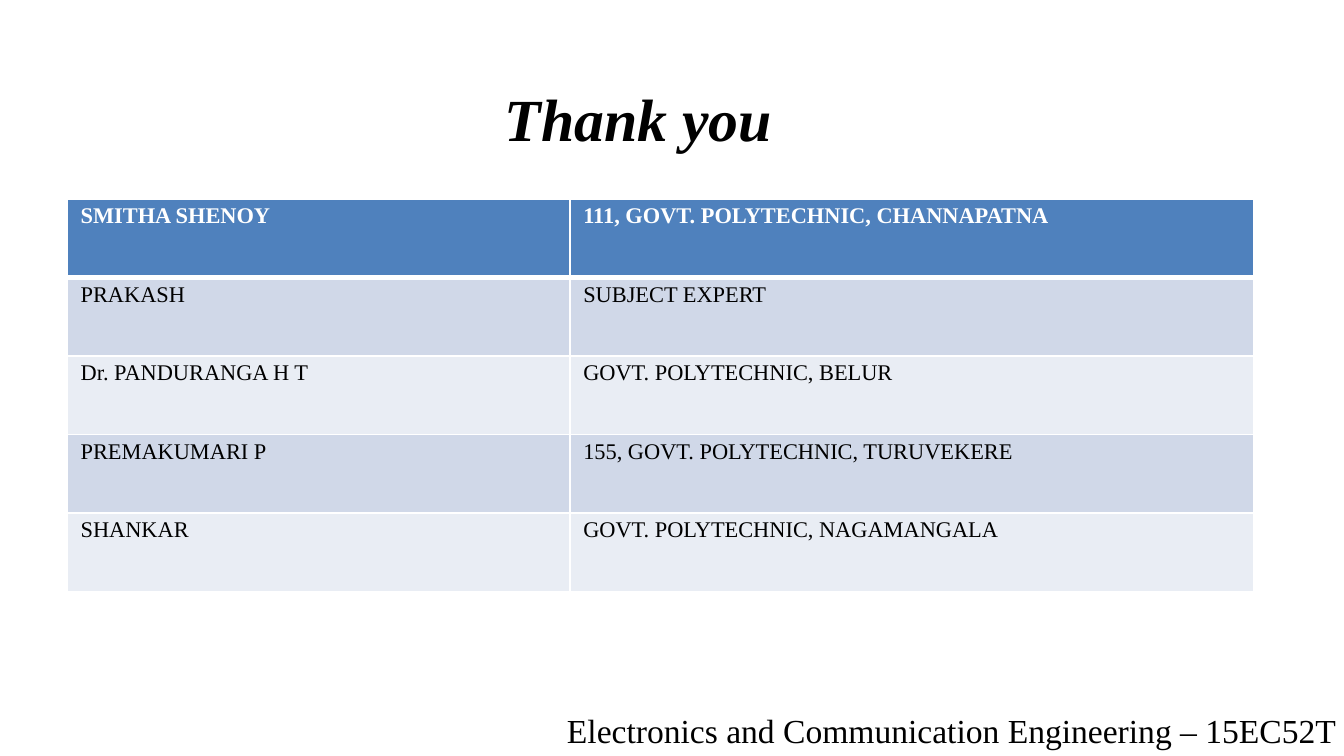
from lxml import etree
from pptx import Presentation, util as u
from pptx.dml.color import RGBColor
from pptx.enum import text
from pptx.oxml.ns import qn

PX = 4572  # EMU per px, 200 px to the inch


def px(n):
    return u.Emu(n * PX)


def rgb(value):
    return RGBColor.from_string(value)


def write(tf, content, size=12, color="000000", bold=False, italic=False,
          align=text.PP_ALIGN.LEFT, font="Times New Roman"):
    p = tf.paragraphs[0]
    p.alignment = align
    r = p.add_run()
    r.text = content
    f = r.font
    f.name, f.size, f.bold, f.italic = font, u.Pt(size), bold, italic
    f.color.rgb = rgb(color)


def border(cell, side, width, color):
    tc_pr = cell._tc.get_or_add_tcPr()
    ln = etree.SubElement(tc_pr, qn("a:ln" + side), w=str(u.Pt(width)))
    fill = etree.SubElement(ln, qn("a:solidFill"))
    etree.SubElement(fill, qn("a:srgbClr"), val=color)


class Deck:
    header = "4F81BD"
    bands = ("D0D8E8", "E9EDF4")
    white = "FFFFFF"

    def __init__(self, width, height):
        self.prs = Presentation()
        self.prs.slide_width, self.prs.slide_height = px(width), px(height)
        self.s = self.prs.slides.add_slide(self.prs.slide_layouts[5])
        bg = self.s.background.fill
        bg.solid()
        bg.fore_color.rgb = rgb(self.white)

    def title(self, content, x, y, w, h, **style):
        sp = self.s.shapes.title
        sp.left, sp.top, sp.width, sp.height = map(px, (x, y, w, h))
        self.fill_frame(sp.text_frame, content, **style)

    def label(self, content, x, y, w, h, **style):
        sp = self.s.shapes.add_textbox(*map(px, (x, y, w, h)))
        self.fill_frame(sp.text_frame, content, **style)

    def fill_frame(self, tf, content, **style):
        tf.word_wrap = True
        tf.auto_size = text.MSO_AUTO_SIZE.SHAPE_TO_FIT_TEXT
        tf.vertical_anchor = text.MSO_ANCHOR.TOP
        write(tf, content, **style)

    def table(self, rows, x, y, col_widths, row_height):
        table = self.s.shapes.add_table(
            len(rows), len(col_widths), px(x), px(y),
            px(sum(col_widths)), px(row_height * len(rows))).table
        for col, width in zip(table.columns, col_widths):
            col.width = px(width)
        for i, values in enumerate(rows):
            table.rows[i].height = px(row_height)
            for j, value in enumerate(values):
                self.cell(table.cell(i, j), value, i)

    def cell(self, cell, value, row):
        head = row == 0
        cell.margin_left = cell.margin_right = px(20)
        cell.margin_top = cell.margin_bottom = px(7)
        # Thick rule between the header and the body
        widths = {"L": 1, "R": 1, "T": 3 if row == 1 else 1, "B": 3 if head else 1}
        for side, width in widths.items():
            border(cell, side, width, self.white)
        cell.fill.solid()
        cell.fill.fore_color.rgb = rgb(self.header if head else self.bands[(row - 1) % 2])
        write(cell.text_frame, value, bold=head,
              color=self.white if head else "000000")


def main():
    deck = Deck(2000, 1125)

    # Heading
    deck.title("Thank you", 650, 112, 600, 128, size=32, bold=True, italic=True,
               align=text.PP_ALIGN.CENTER)

    # Course name at the foot
    deck.label("Electronics and Communication Engineering – 15EC52T",
               824, 1046, 1242, 80, size=18)

    # Contributors
    deck.table([
        ("SMITHA SHENOY", "111, GOVT. POLYTECHNIC, CHANNAPATNA"),
        ("PRAKASH", "SUBJECT EXPERT"),
        ("Dr. PANDURANGA H T", "GOVT. POLYTECHNIC, BELUR"),
        ("PREMAKUMARI P", "155, GOVT. POLYTECHNIC, TURUVEKERE"),
        ("SHANKAR", "GOVT. POLYTECHNIC, NAGAMANGALA"),
    ], 100, 296, (748, 1018), 117)

    deck.prs.save("out.pptx")


if __name__ == "__main__":
    main()
